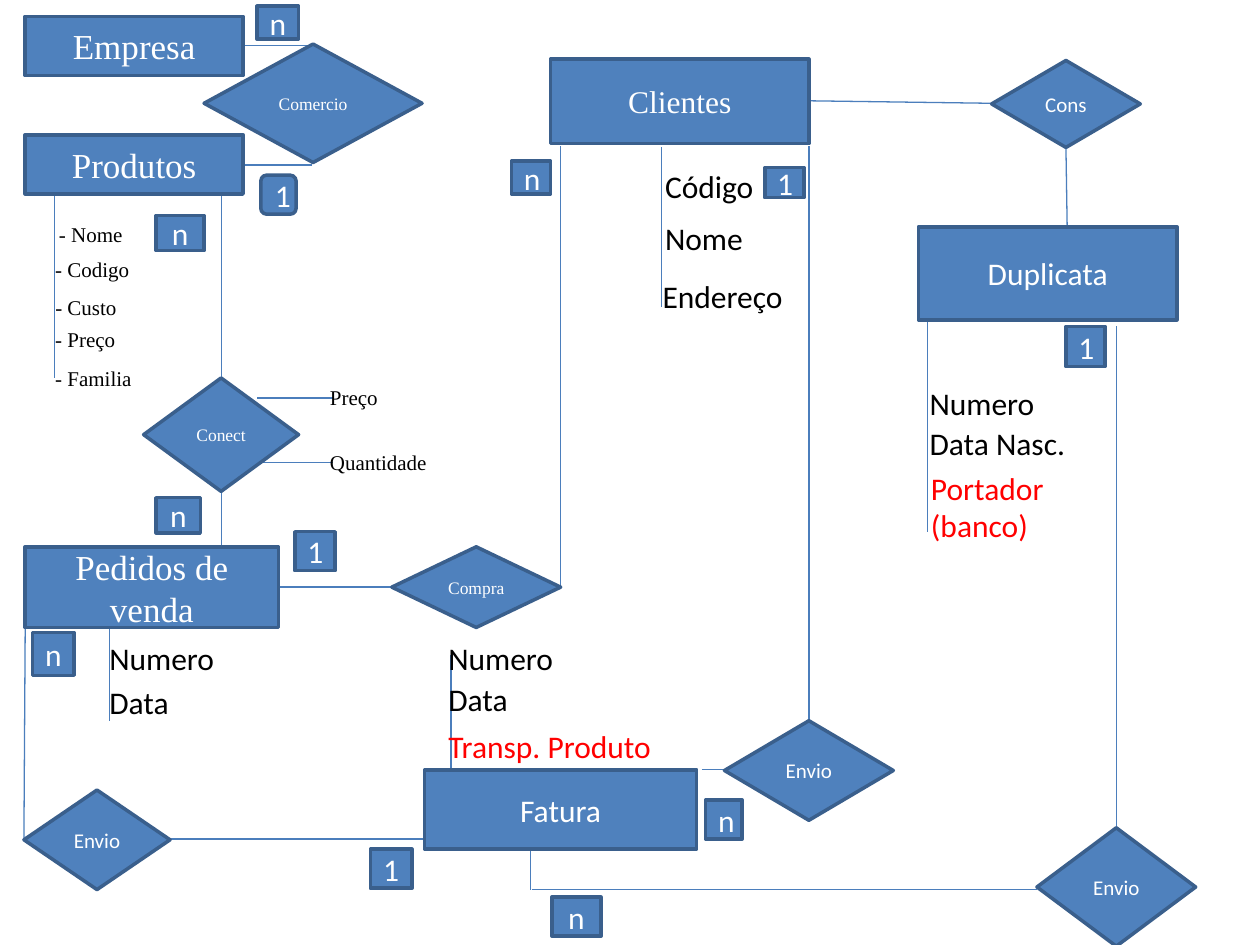
"""Build a sales entity-relationship diagram slide."""
from typing import NamedTuple

from pptx import Presentation
from pptx import util as u
from pptx.dml.color import RGBColor
from pptx.enum import shapes, text
from pptx.oxml.ns import qn
from lxml import etree

BLUE = RGBColor(0x4F, 0x81, 0xBD)
BORDER = RGBColor(0x3A, 0x5F, 0x8C)
LINK = RGBColor(0x4B, 0x7E, 0xBC)
WHITE = RGBColor(0xFF, 0xFF, 0xFF)
BLACK = RGBColor(0, 0, 0)
RED = RGBColor(0xFF, 0, 0)
SERIF = "Times New Roman"
SANS = "Calibri"
RECT = shapes.MSO_SHAPE.RECTANGLE
ROUND = shapes.MSO_SHAPE.ROUNDED_RECTANGLE
DIAMOND = shapes.MSO_SHAPE.FLOWCHART_DECISION
CM_PER_INCH = 2.54


class Node(NamedTuple):
    label: str
    left: float
    top: float
    width: float
    height: float
    size: int = 18
    font: str = SANS
    kind: int = RECT


class Attribute(NamedTuple):
    label: str
    left: float
    top: float
    width: float
    height: float = 0.4
    size: int = 18
    font: str = SANS
    color: RGBColor = BLACK


class Link(NamedTuple):
    x1: float
    y1: float
    x2: float
    y2: float


ENTITIES = [
    Node("Empresa", 0.2, 0.13, 1.73, 0.47, 20, SERIF),
    Node("Produtos", 0.2, 1.07, 1.73, 0.47, 20, SERIF),
    Node("Pedidos de venda", 0.2, 4.34, 2.01, 0.64, 20, SERIF),
    Node("Clientes", 4.37, 0.47, 2.05, 0.67, 18, SERIF),
    Node("Fatura", 3.37, 6.11, 2.16, 0.63),
    Node("Duplicata", 7.29, 1.8, 2.05, 0.74),
]
RELATIONSHIPS = [
    Node("Comercio", 1.62, 0.35, 1.73, 0.94, 10, SERIF, DIAMOND),
    Node("Conect", 1.14, 3, 1.23, 0.9, 10, SERIF, DIAMOND),
    Node("Compra", 3.11, 4.34, 1.34, 0.64, 10, SERIF, DIAMOND),
    Node("Envio", 5.75, 5.72, 1.34, 0.79, 12, SANS, DIAMOND),
    Node("Envio", 0.19, 6.27, 1.16, 0.79, 12, SANS, DIAMOND),
    Node("Cons", 7.87, 0.48, 1.18, 0.69, 12, SANS, DIAMOND),
    Node("Envio", 8.23, 6.57, 1.26, 0.94, 12, SANS, DIAMOND),
]
CARDINALITIES = [
    Node("1", 2.07, 1.39, 0.28, 0.31, kind=ROUND),
    Node("n", 2.04, 0.05, 0.33, 0.26),
    Node("n", 1.24, 1.71, 0.38, 0.28),
    Node("n", 1.24, 3.95, 0.35, 0.28),
    Node("n", 4.06, 1.28, 0.31, 0.26),
    Node("1", 2.34, 4.22, 0.32, 0.31),
    Node("1", 6.07, 1.33, 0.31, 0.24),
    Node("n", 5.6, 6.35, 0.29, 0.31),
    Node("n", 0.26, 5.02, 0.33, 0.34),
    Node("1", 2.94, 6.74, 0.33, 0.31),
    Node("1", 8.46, 2.59, 0.31, 0.32),
    Node("n", 4.38, 7.12, 0.39, 0.31),
]
ATTRIBUTES = [
    Attribute("- Nome", 0.37, 1.71, 1.5, 0.3, 12, SERIF),
    Attribute("- Codigo", 0.34, 1.99, 1.26, 0.3, 12, SERIF),
    Attribute("- Custo", 0.34, 2.29, 0.91, 0.3, 12, SERIF),
    Attribute("- Preço", 0.34, 2.54, 1.07, 0.3, 12, SERIF),
    Attribute("- Familia", 0.34, 2.85, 1.26, 0.3, 12, SERIF),
    Attribute("Preço", 2.52, 3, 0.94, 0.3, 12, SERIF),
    Attribute("Quantidade", 2.52, 3.52, 1.18, 0.3, 12, SERIF),
    Attribute("Numero", 0.77, 5.02, 1.1),
    Attribute("Data", 0.77, 5.37, 1.06),
    Attribute("Código", 5.18, 1.28, 1.26),
    Attribute("Nome", 5.18, 1.69, 1.1),
    Attribute("Endereço", 5.16, 2.15, 1.18),
    Attribute("Numero", 3.46, 5.02, 1.69),
    Attribute("Data", 3.46, 5.35, 1.19),
    Attribute("Transp. Produto", 3.46, 5.72, 1.93, color=RED),
    Attribute("Numero", 7.28, 3, 1.5),
    Attribute("Data Nasc.", 7.28, 3.32, 1.5),
    Attribute("Portador (banco)", 7.29, 3.67, 1.18, 0.71, color=RED),
]
LINKS = [
    Link(1.93, 0.36, 2.48, 0.36), Link(1.93, 1.31, 2.48, 1.31),
    Link(0.43, 1.55, 0.43, 3), Link(1.76, 1.55, 1.76, 3),
    Link(1.76, 3.91, 1.76, 4.34), Link(2.04, 3.16, 2.64, 3.16),
    Link(2.07, 3.67, 2.64, 3.67), Link(2.2, 4.66, 3.11, 4.66),
    Link(4.45, 1.16, 4.45, 4.66), Link(6.42, 1.16, 6.42, 5.72),
    Link(5.57, 6.11, 5.75, 6.11), Link(0.2, 4.98, 0.19, 6.66),
    Link(1.35, 6.66, 3.36, 6.66), Link(4.21, 6.74, 4.21, 7.06),
    Link(4.22, 7.06, 8.23, 7.06), Link(8.46, 1.17, 8.47, 1.8),
    Link(6.42, 0.8, 7.87, 0.82), Link(8.86, 6.57, 8.86, 2.59),
    Link(0.87, 4.98, 0.87, 5.72), Link(5.25, 1.17, 5.25, 2.44),
    Link(3.58, 6.11, 3.58, 5.2), Link(7.36, 2.55, 7.36, 4.22),
]


def lengths(*inches: float) -> list[u.Length]:
    """Convert diagram coordinates to centimetre lengths."""
    return [u.Cm(value * CM_PER_INCH) for value in inches]


def write(frame, label: str, *, size: int, font: str, color: RGBColor,
          align=text.PP_ALIGN.LEFT, anchor=text.MSO_ANCHOR.TOP) -> None:
    """Put one formatted paragraph in a text frame."""
    frame.word_wrap = True
    frame.vertical_anchor = anchor
    paragraph = frame.paragraphs[0]
    paragraph.alignment = align
    run = paragraph.add_run()
    run.text = label
    run.font.size = u.Pt(size)
    run.font.name = font
    run.font.color.rgb = color


def draw_node(slide, node: Node) -> None:
    """Draw a filled shape with a centred label."""
    shape = slide.shapes.add_shape(
        node.kind, *lengths(node.left, node.top, node.width, node.height))
    shape.shadow.inherit = False
    shape.fill.solid()
    shape.fill.fore_color.rgb = BLUE
    shape.line.color.rgb = BORDER
    shape.line.width = u.Pt(2)
    write(shape.text_frame, node.label, size=node.size, font=node.font, color=WHITE,
          align=text.PP_ALIGN.CENTER, anchor=text.MSO_ANCHOR.MIDDLE)


def draw_attribute(slide, attribute: Attribute) -> None:
    """Draw an attribute name as a text box."""
    box = slide.shapes.add_textbox(*lengths(
        attribute.left, attribute.top, attribute.width, attribute.height))
    write(box.text_frame, attribute.label, size=attribute.size,
          font=attribute.font, color=attribute.color)
    box.text_frame.auto_size = text.MSO_AUTO_SIZE.SHAPE_TO_FIT_TEXT


def draw_link(slide, link: Link) -> None:
    """Draw a thin straight connector without shadow."""
    connector = slide.shapes.add_connector(
        shapes.MSO_CONNECTOR.STRAIGHT, *lengths(*link))
    connector.line.color.rgb = LINK
    connector.line.width = u.Pt(0.75)
    etree.SubElement(connector._element.spPr, qn("a:effectLst"))


def main() -> None:
    """Create the slide and save the presentation."""
    presentation = Presentation()
    presentation.slide_width, presentation.slide_height = u.Cm(25.4), u.Cm(19.05)
    slide = presentation.slides.add_slide(presentation.slide_layouts[6])
    for link in LINKS:
        draw_link(slide, link)
    for node in ENTITIES + RELATIONSHIPS + CARDINALITIES:
        draw_node(slide, node)
    for attribute in ATTRIBUTES:
        draw_attribute(slide, attribute)
    presentation.save("out.pptx")


main()
